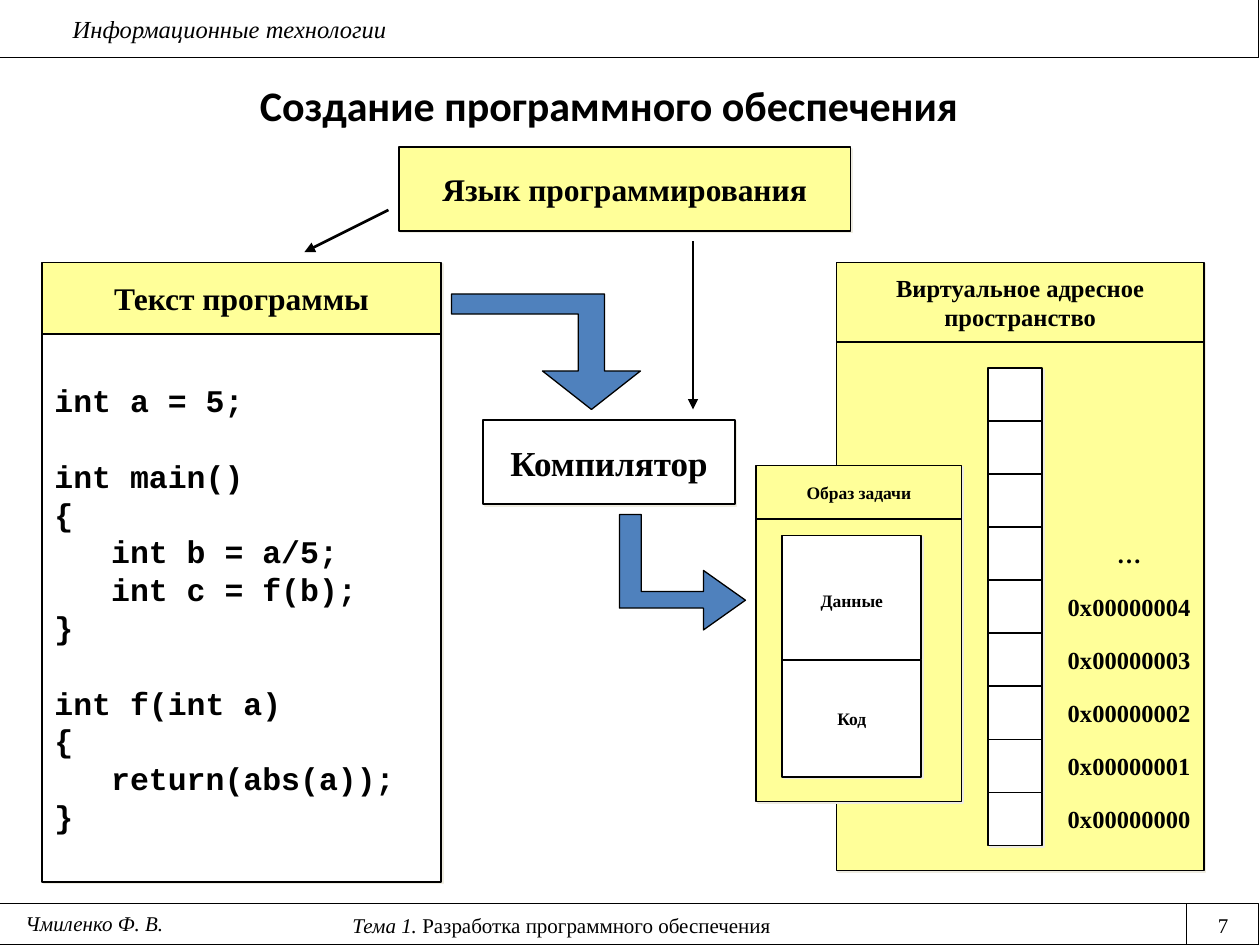
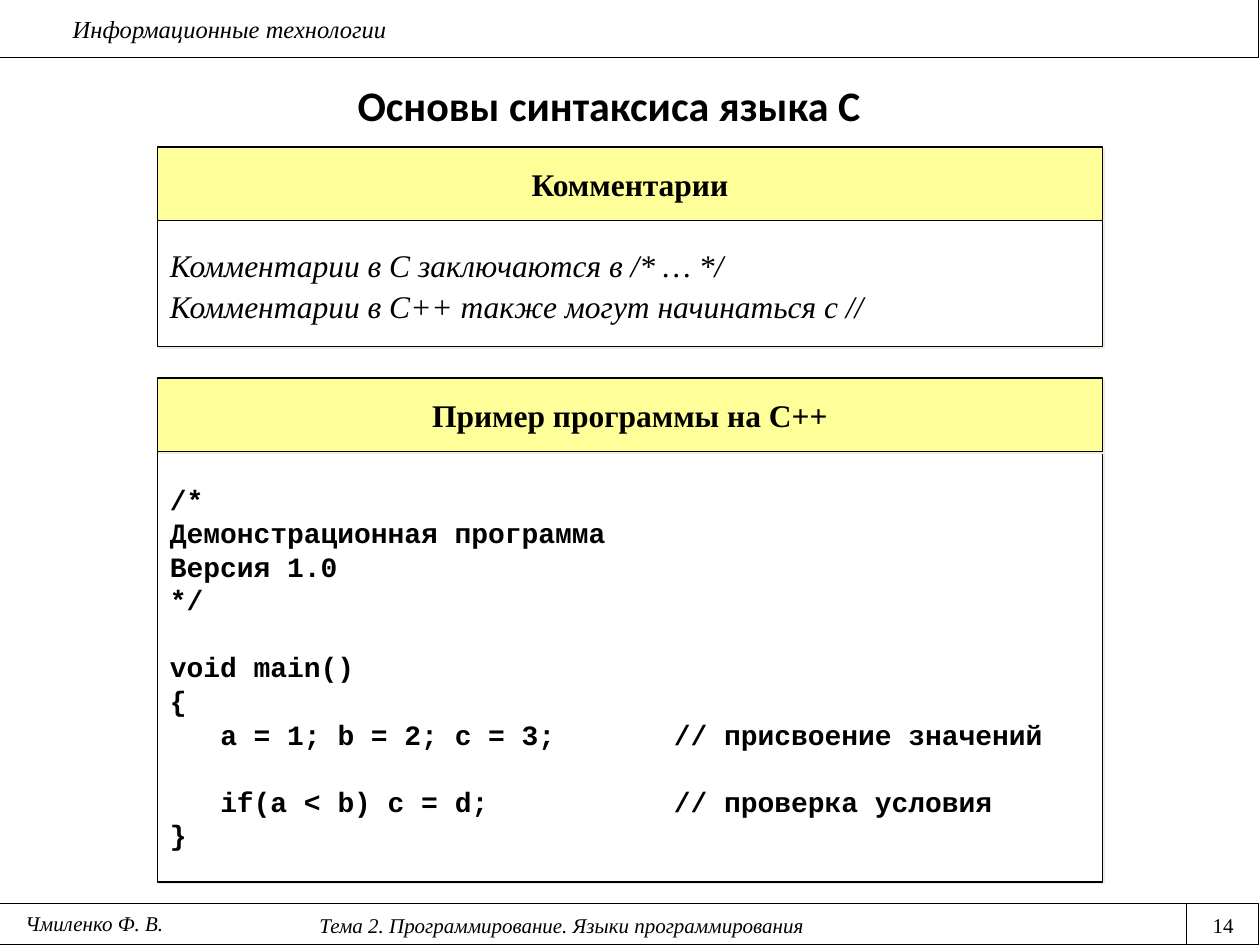
from dataclasses import dataclass

from lxml import etree
from pptx import Presentation
from pptx.dml.color import RGBColor
from pptx.enum.shapes import MSO_CONNECTOR, MSO_SHAPE
from pptx.enum.text import MSO_ANCHOR, PP_ALIGN
from pptx.oxml.ns import qn
from pptx.util import Pt

RECTANGLE = MSO_SHAPE.RECTANGLE
STRAIGHT = MSO_CONNECTOR.STRAIGHT
LEFT, CENTER = PP_ALIGN.LEFT, PP_ALIGN.CENTER
TOP, MIDDLE = MSO_ANCHOR.TOP, MSO_ANCHOR.MIDDLE


@dataclass(frozen=True)
class Theme:
    black: RGBColor = RGBColor(0x00, 0x00, 0x00)
    white: RGBColor = RGBColor(0xFF, 0xFF, 0xFF)
    yellow: RGBColor = RGBColor(0xFF, 0xFF, 0x99)
    blue: RGBColor = RGBColor(0x4F, 0x81, 0xBD)
    shadow: str = "EEECE1"
    title_font: str = "Calibri"
    body_font: str = "Times New Roman"
    code_font: str = "Courier New"
    title: int = 24
    large: int = 20
    heading: int = 18
    code: int = 16
    label: int = 14
    footer: int = 12
    small: int = 10


theme = Theme()


def put_text(shape, text, size=theme.heading, font=theme.body_font, bold=False, italic=False,
             align=CENTER, anchor=MIDDLE, lead="", spacing=None, tabs=()):
    frame = shape.text_frame
    frame.word_wrap = True
    frame.vertical_anchor = anchor
    para, gap = frame.paragraphs[0], 0
    started = False
    for line in text.split("\n"):
        if not line:
            gap += spacing
            continue
        if started:
            para = frame.add_paragraph()
        started = True
        para.alignment = align
        para.space_before = gap
        gap = 0
        if spacing:
            para.line_spacing = spacing
        if tabs:
            tab_list = etree.SubElement(para._p.get_or_add_pPr(), qn("a:tabLst"))
            for position in tabs:
                etree.SubElement(tab_list, qn("a:tab"), pos=str(Pt(position)), algn="l")
        for part, slanted in ((lead, True), (line, italic)):
            if part:
                span = para.add_run()
                span.text = part
                span.font.name = font
                span.font.size = Pt(size)
                span.font.bold = bold
                span.font.italic = slanted
                span.font.color.rgb = theme.black


def add_box(page, left, top, width, height, fill=None, line=1.0, shadow=True):
    bounds = Pt(left), Pt(top), Pt(width), Pt(height)
    if fill is None:
        return page.shapes.add_textbox(*bounds)
    box = page.shapes.add_shape(RECTANGLE, *bounds)
    box.fill.solid()
    box.fill.fore_color.rgb = fill
    box.line.color.rgb = theme.black
    box.line.width = Pt(line)
    box.shadow.inherit = False
    if shadow:
        effects = box._element.spPr.find(qn("a:effectLst"))
        outer = etree.SubElement(effects, qn("a:outerShdw"), dist=str(Pt(1.4)),
                                 dir="2700000", algn="ctr", rotWithShape="0")
        etree.SubElement(outer, qn("a:srgbClr"), val=theme.shadow)
    return box


deck = Presentation()
deck.slide_width, deck.slide_height = Pt(720), Pt(540)
pages = []
lines = []

for title, topic, subject, slanted, number in (
    ("Создание программного обеспечения", "Тема 1. ",
     "Разработка программного обеспечения", False, "7"),
    ("Основы синтаксиса языка С", "Тема 2. ",
     "Программирование. Языки программирования", True, "14"),
):
    page = deck.slides.add_slide(deck.slide_layouts[6])
    pages.append(page)
    add_box(page, -0.75, 516.25, 720, 23.75, theme.white, 0.75, False)
    add_box(page, -0.75, -0.75, 720, 33.75, theme.white, 0.75, False)
    put_text(add_box(page, 34.5, 4.5, 678, 24.5), "Информационные технологии",
             size=theme.label, italic=True, align=LEFT, anchor=TOP)
    put_text(add_box(page, 0, 518, 642, 21.5), subject, size=theme.footer,
             italic=slanted, anchor=TOP, lead=topic)
    put_text(add_box(page, 678, 518, 42, 21.5), number, size=theme.footer, anchor=TOP)
    put_text(add_box(page, 0, 517, 108, 21.5), "Чмиленко Ф. В.",
             size=theme.footer, italic=True, anchor=TOP)
    put_text(add_box(page, 18, 42, 660, 36), title, size=theme.title,
             font=theme.title_font, bold=True)
    lines.append((page, (678, 516.25), (678, 540), 0.75, False))

creation_page, syntax_page = pages

for left, top, width, height, fill, size, text in (
    (24, 150, 228, 41, theme.yellow, theme.heading, "Текст программы"),
    (478, 150, 210, 45.5, theme.yellow, theme.label, "Виртуальное адресное пространство"),
    (478, 195.5, 210, 302, theme.yellow, theme.label, ""),
    (432, 266, 117.5, 30.5, theme.yellow, theme.small, "Образ задачи"),
    (432, 296.5, 117.5, 161.5, theme.yellow, theme.small, ""),
    (447, 306, 79.5, 74, theme.white, theme.small, "Данные"),
    (447, 377, 79.5, 67, theme.white, theme.small, "Код"),
    (276, 240, 144, 48, theme.white, theme.large, "Компилятор"),
    (228, 84, 258, 48, theme.yellow, theme.heading, "Язык программирования"),
):
    box = add_box(creation_page, left, top, width, height, fill)
    if text:
        put_text(box, text, size=size, bold=True)

cell_count, cell_top, cell_height = 9, 210.25, 30.33
for index in range(cell_count):
    top = cell_top + index * cell_height
    add_box(creation_page, 564.5, top, 31, cell_height, theme.white)
    address = cell_count - 1 - index
    if address <= 5:
        label = "…" if address == 5 else f"0x{address:08X}"
        put_text(add_box(creation_page, 600.5, top, 89.5, cell_height), label,
                 size=theme.label, bold=True)

source_text = """int a = 5;

int main()
{
\tint b = a/5;
\tint c = f(b);
}

int f(int a)
{
\treturn(abs(a));
}"""
demo_text = """/*
Демонстрационная программа
Версия 1.0
*/

void main()
{
\ta = 1; b = 2; c = 3;\t// присвоение значений

\tif(a < b) c = d;\t// проверка условия
}"""
for page, bounds, text, size in (
    (creation_page, (24, 191, 228, 313), source_text, theme.heading),
    (syntax_page, (90, 258, 540, 246), demo_text, theme.code),
):
    put_text(add_box(page, *bounds, theme.white), text, size=size, font=theme.code_font,
             bold=True, align=LEFT, spacing=Pt(size * 1.2), tabs=(size * 1.8, 288))

for top, heading in ((84, "Комментарии"), (216, "Пример программы на С++")):
    put_text(add_box(syntax_page, 90, top, 540, 42, theme.yellow), heading, bold=True)
put_text(add_box(syntax_page, 90, 126, 540, 72, theme.white),
         "Комментарии в С заключаются в /* … */\nКомментарии в С++ также могут начинаться с //",
         italic=True, align=LEFT, spacing=1.1)

source_to_compiler = ((258, 168), (345.5, 168), (345.5, 212), (366, 212), (338, 234),
                      (310, 212), (330.5, 212), (330.5, 179.5), (258, 179.5))
compiler_to_image = ((354, 294), (366.5, 294), (366.5, 338), (402, 338), (402, 326),
                     (426, 343), (402, 360), (402, 347.5), (354, 347.5))
for outline in (source_to_compiler, compiler_to_image):
    start, *corners = [(Pt(x), Pt(y)) for x, y in outline]
    builder = creation_page.shapes.build_freeform(*start, scale=1.0)
    builder.add_line_segments(corners, close=True)
    arrow = builder.convert_to_shape()
    arrow.fill.solid()
    arrow.fill.fore_color.rgb = theme.blue
    arrow.line.color.rgb = theme.black
    arrow.line.width = Pt(0.75)
    arrow.shadow.inherit = False

lines += [(creation_page, (222, 120), (174, 144), 1.5, True),
          (creation_page, (396, 138), (396, 234), 1.5, True)]
for page, start, end, width, pointed in lines:
    line = page.shapes.add_connector(STRAIGHT, *map(Pt, start + end))
    line.line.color.rgb = theme.black
    line.line.width = Pt(width)
    if pointed:
        etree.SubElement(line.line._get_or_add_ln(), qn("a:tailEnd"), type="triangle")
    etree.SubElement(line._element.spPr, qn("a:effectLst"))

deck.save("out.pptx")
